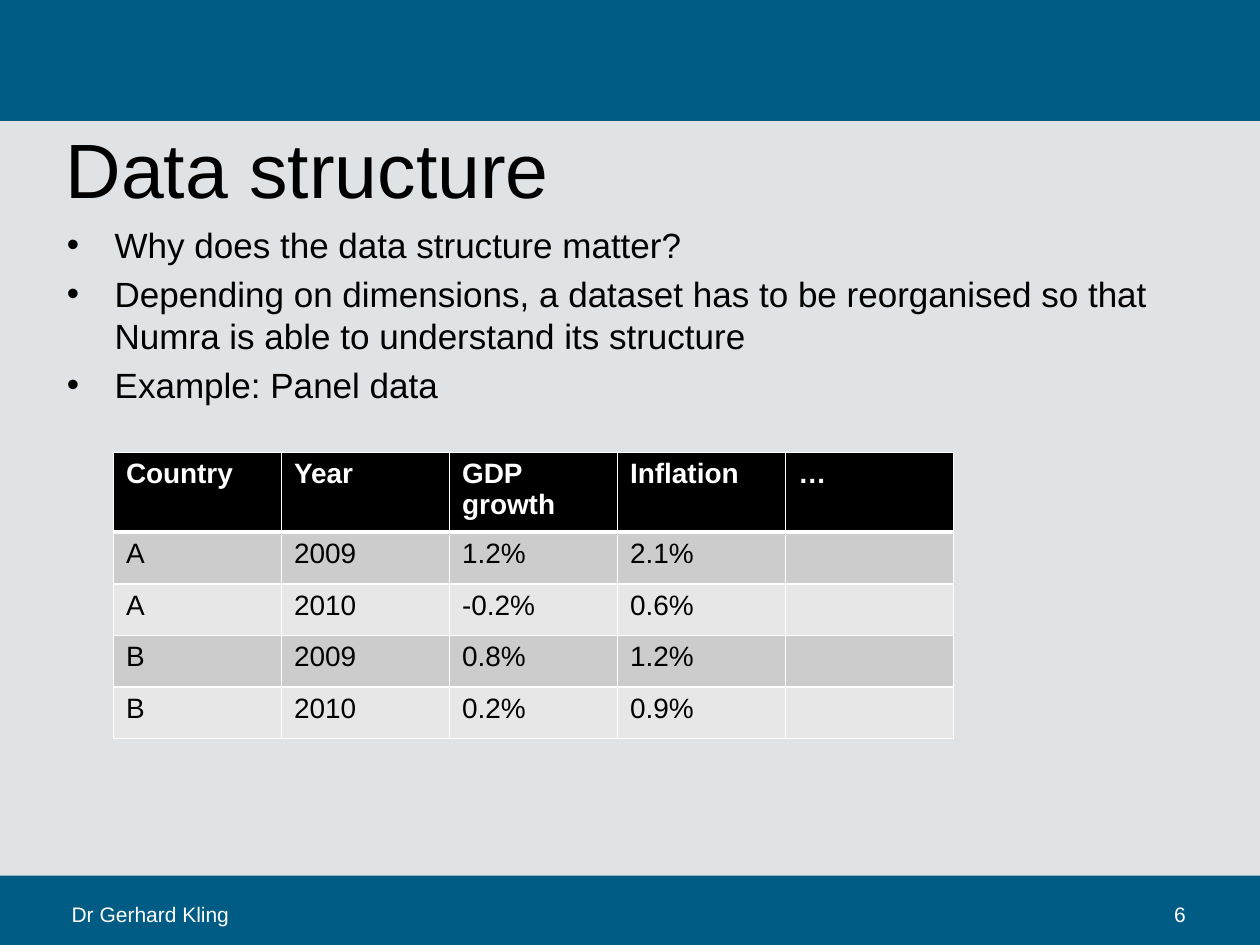
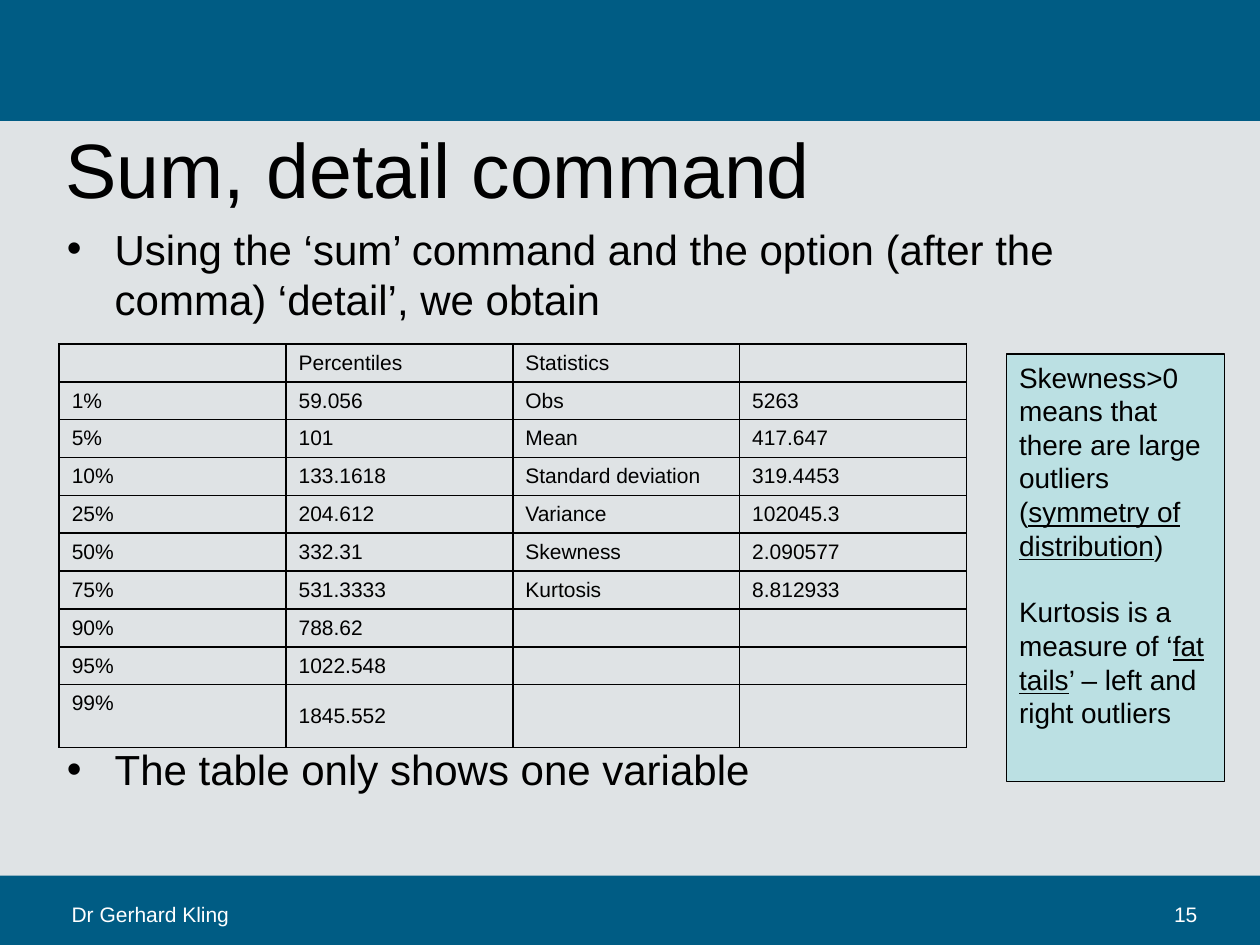
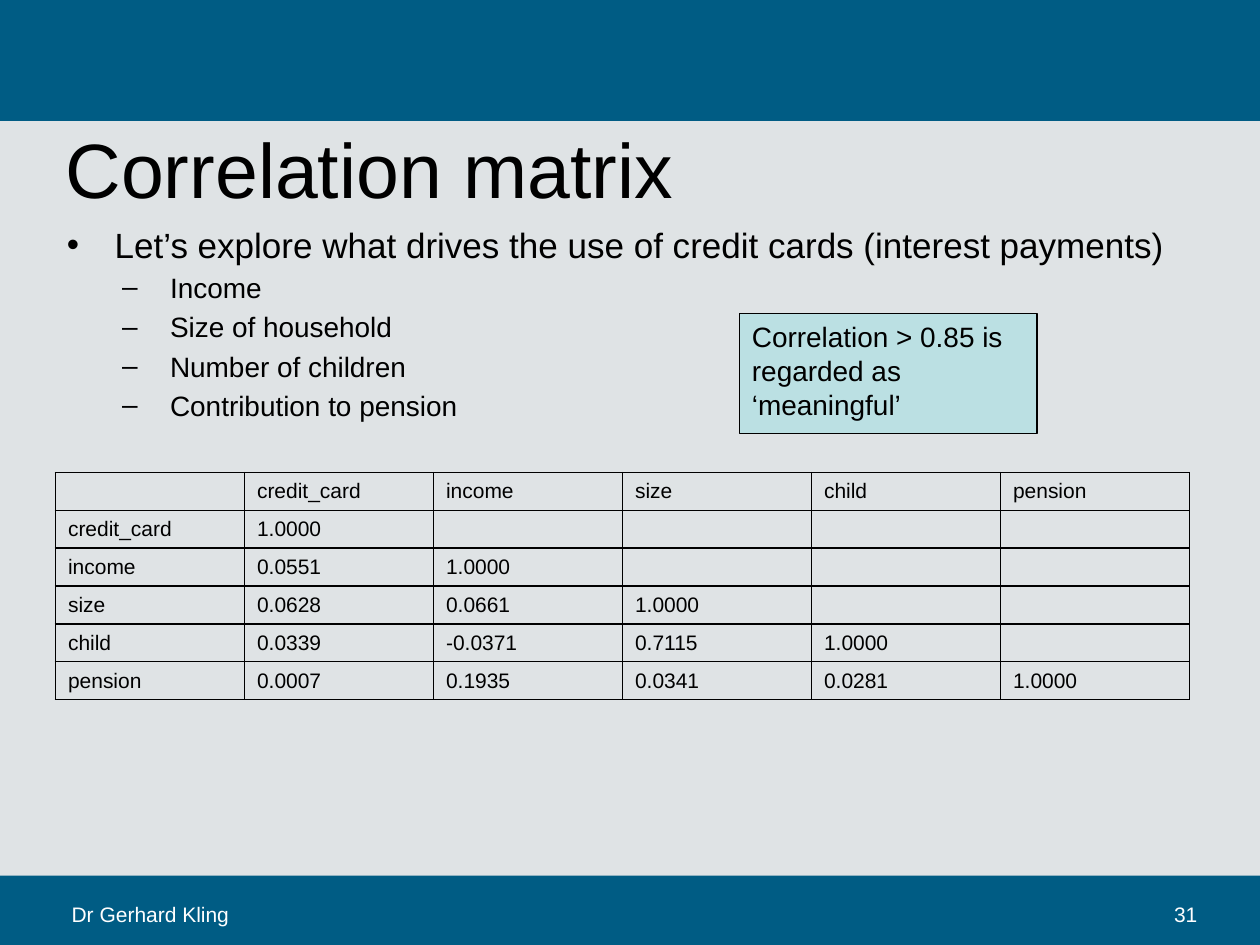
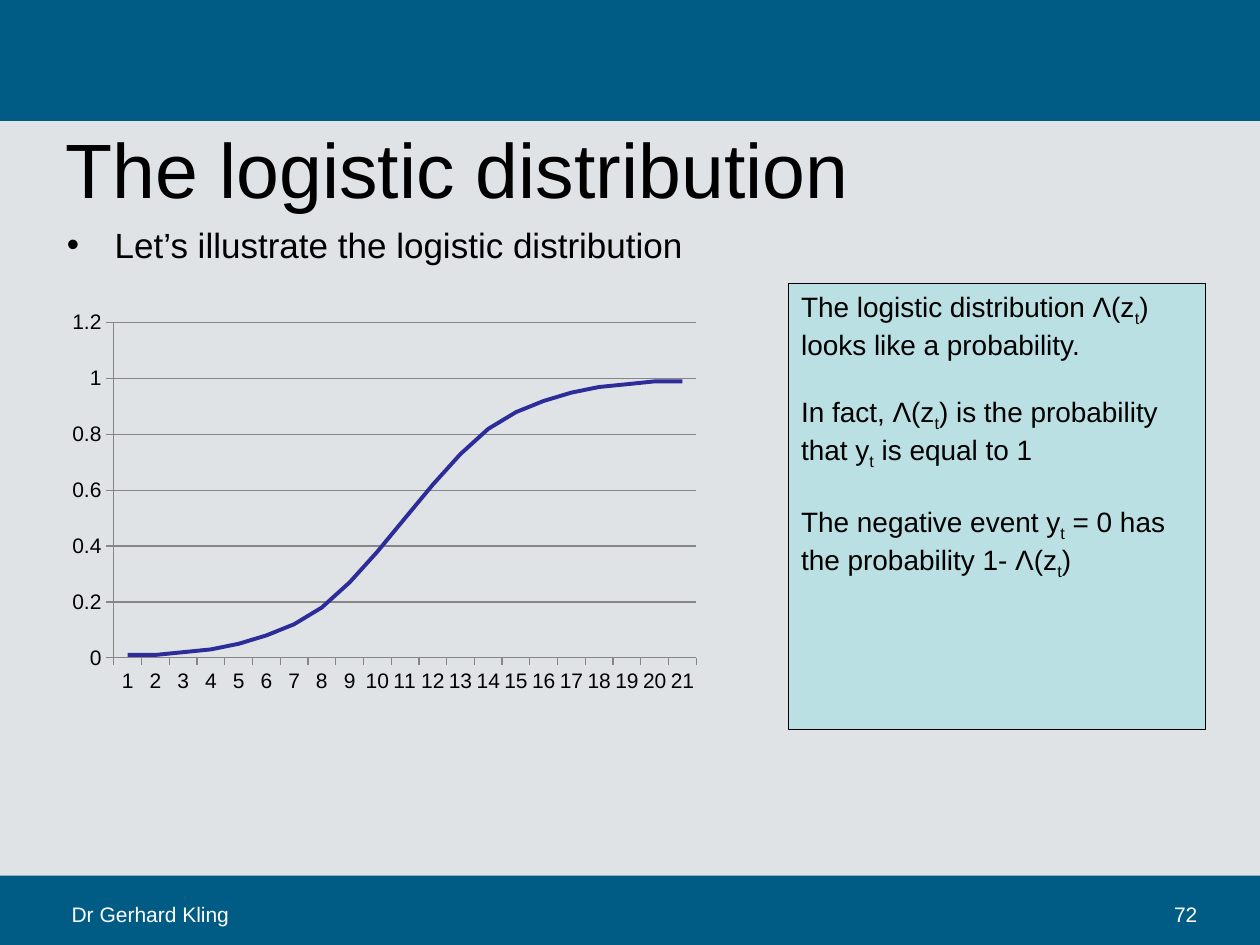
"""Builds four lecture slides on data analysis with shared bands, titles and footers."""
from dataclasses import dataclass
from typing import NamedTuple

from lxml.etree import SubElement
from pptx import Presentation
from pptx.chart.data import CategoryChartData
from pptx.dml.color import RGBColor
from pptx.enum.chart import XL_CHART_TYPE as ChartType, XL_MARKER_STYLE as Marker, XL_TICK_MARK as Tick
from pptx.enum.shapes import MSO_SHAPE as Shape
from pptx.enum.text import MSO_ANCHOR as Anchor, MSO_AUTO_SIZE as AutoSize, PP_ALIGN as Align
from pptx.oxml.ns import qn
from pptx.util import Inches, Pt

FONT = "Arial"
BLACK, WHITE = "000000", "FFFFFF"
BACKGROUND, BAND, NOTE_FILL = "DFE3E5", "005C84", "BBE0E3"
CURVE, GRID = "2D2D99", "868686"
STRIPES = ("CCCCCC", "E7E7E7")
AUTHOR = "Dr Gerhard Kling"


class Box(NamedTuple):
    left: float
    top: float
    width: float
    height: float

    def emu(self) -> tuple:
        return tuple(Inches(v) for v in self)


class Run(NamedTuple):
    text: str
    underline: bool = False
    subscript: bool = False


class Bullet(NamedTuple):
    text: str
    size: int = 20
    level: int = 0
    before: int | None = None


@dataclass
class Note:
    box: Box
    paragraphs: list[list[Run]]
    gap: int = 19


@dataclass
class Grid:
    box: Box
    rows: list[list[str]]
    heights: list[float]
    size: int = 12
    line: str = BLACK
    striped: bool = False
    anchor: Anchor = Anchor.MIDDLE
    top_texts: tuple[str, ...] = ()


BANDS = (Box(0, 0, 10, 0.96), Box(0, 6.95, 10, 0.55))
TITLE_BOX = Box(0.49, 1.02, 9, 0.62)
BODY_BOX = Box(0.5, 1.75, 9, 4.95)
AUTHOR_BOX = Box(0.47, 7.11, 3.28, 0.3)
NUMBER_BOX = Box(9.22, 7.11, 0.7, 0.3)
CHART_BOX = Box(0.47, 2.41, 5.16, 3.15)

PANEL = Grid(
    Box(0.9, 3.59, 6.67, 2.26),
    [
        ["Country", "Year", "GDP growth", "Inflation", "…"],
        ["A", "2009", "1.2%", "2.1%", ""],
        ["A", "2010", "-0.2%", "0.6%", ""],
        ["B", "2009", "0.8%", "1.2%", ""],
        ["B", "2010", "0.2%", "0.9%", ""],
    ],
    [0.63] + [0.41] * 4, size=16, line=WHITE, striped=True, anchor=Anchor.TOP,
)
SUMMARY = Grid(
    Box(0.47, 2.73, 7.2, 3.2),
    [
        ["", "Percentiles", "Statistics", ""],
        ["1%", "59.056", "Obs", "5263"],
        ["5%", "101", "Mean", "417.647"],
        ["10%", "133.1618", "Standard deviation", "319.4453"],
        ["25%", "204.612", "Variance", "102045.3"],
        ["50%", "332.31", "Skewness", "2.090577"],
        ["75%", "531.3333", "Kurtosis", "8.812933"],
        ["90%", "788.62", "", ""],
        ["95%", "1022.548", "", ""],
        ["99%", "1845.552", "", ""],
    ],
    [0.3] * 9 + [0.5], top_texts=("Mean", "417.647", "99%"),
)
CORRELATION = Grid(
    Box(0.44, 3.75, 9, 1.8),
    [
        ["", "credit_card", "income", "size", "child", "pension"],
        ["credit_card", "1.0000", "", "", "", ""],
        ["income", "0.0551", "1.0000", "", "", ""],
        ["size", "0.0628", "0.0661", "1.0000", "", ""],
        ["child", "0.0339", "-0.0371", "0.7115", "1.0000", ""],
        ["pension", "0.0007", "0.1935", "0.0341", "0.0281", "1.0000"],
    ],
    [0.3] * 6,
)

SUB_T = Run("t", subscript=True)
SHAPE_NOTE = Note(Box(7.99, 2.81, 1.73, 3.39), [
    [Run("Skewness>0 means that there are large outliers ("),
     Run("symmetry of distribution", underline=True), Run(")")],
    [Run("Kurtosis is a measure of ‘"), Run("fat tails", underline=True),
     Run("’ – left and right outliers")],
])
THRESHOLD_NOTE = Note(Box(5.87, 2.49, 2.36, 0.95),
                      [[Run("Correlation > 0.85 is regarded as ‘meaningful’")]])
PROBABILITY_NOTE = Note(Box(6.26, 2.25, 3.31, 3.54), [
    [Run("The logistic distribution Λ(z"), SUB_T, Run(") looks like a probability.")],
    [Run("In fact, Λ(z"), SUB_T, Run(") is the probability that y"), SUB_T, Run(" is equal to 1")],
    [Run("The negative event y"), SUB_T, Run(" = 0 has the probability 1- Λ(z"), SUB_T, Run(")")],
])
LOGISTIC = (0.01, 0.01, 0.02, 0.03, 0.05, 0.08, 0.12, 0.18, 0.27, 0.38, 0.5,
            0.62, 0.73, 0.82, 0.88, 0.92, 0.95, 0.97, 0.98, 0.99, 0.99)


def rgb(color: str) -> RGBColor:
    return RGBColor.from_string(color)


def set_font(font, size: int, color: str = BLACK, bold: bool = False) -> None:
    font.name, font.size, font.bold = FONT, Pt(size), bold
    font.color.rgb = rgb(color)


def add_rect(slide, box: Box, fill: str):
    sp = slide.shapes.add_shape(Shape.RECTANGLE, *box.emu())
    sp.shadow.inherit = False
    sp.fill.solid()
    sp.fill.fore_color.rgb = rgb(fill)
    sp.line.fill.background()
    return sp


def dress_master(prs, slide) -> None:
    master = prs.slide_master
    master.background.fill.solid()
    master.background.fill.fore_color.rgb = rgb(BACKGROUND)
    for i, box in enumerate(BANDS):
        band = add_rect(slide, box, BAND)
        band.element.nvSpPr.cNvPr.id = 100 + i
        master.shapes.element.insert(2 + i, band.element)


def place(sp, box: Box, anchor: Anchor):
    sp.left, sp.top, sp.width, sp.height = box.emu()
    tf = sp.text_frame
    tf.auto_size, tf.word_wrap, tf.vertical_anchor = AutoSize.NONE, True, anchor
    tf.margin_left = tf.margin_right = Inches(0.03)
    tf.margin_top = tf.margin_bottom = Inches(0.02)
    return tf


def add_footer(slide, box: Box, text: str) -> None:
    tf = slide.shapes.add_textbox(*box.emu()).text_frame
    tf.word_wrap = True
    tf.text = text
    set_font(tf.paragraphs[0].font, 12, WHITE)


def fill_body(sp, bullets: list[Bullet]) -> None:
    tf = place(sp, BODY_BOX, Anchor.TOP)
    for i, item in enumerate(bullets):
        p = tf.add_paragraph() if i else tf.paragraphs[0]
        p.text, p.level = item.text, item.level
        set_font(p.font, item.size)
        if item.before:
            p.space_before = Pt(item.before)
        pPr = p._p.get_or_add_pPr()
        pPr.set("marL", str(Inches(0.82 if item.level else 0.38)))
        pPr.set("indent", str(Inches(-0.38)))


def add_slide(prs, number: int, title: str, bullets: list[Bullet]):
    slide = prs.slides.add_slide(prs.slide_layouts[1])
    tf = place(slide.shapes.title, TITLE_BOX, Anchor.MIDDLE)
    tf.text = title
    tf.paragraphs[0].alignment = Align.LEFT
    set_font(tf.paragraphs[0].font, 44)
    fill_body(slide.placeholders[1], bullets)
    add_footer(slide, AUTHOR_BOX, AUTHOR)
    add_footer(slide, NUMBER_BOX, str(number))
    return slide


def set_borders(cell, color: str, top: int = 1, bottom: int = 1) -> None:
    tcPr = cell._tc.get_or_add_tcPr()
    for side, width in (("L", 1), ("R", 1), ("T", top), ("B", bottom)):
        ln = SubElement(tcPr, qn(f"a:ln{side}"), w=str(Pt(width)))
        SubElement(SubElement(ln, qn("a:solidFill")), qn("a:srgbClr"), val=color)


def add_grid(slide, grid: Grid) -> None:
    n_cols = len(grid.rows[0])
    table = slide.shapes.add_table(len(grid.rows), n_cols, *grid.box.emu()).table
    table.first_row = table.horz_banding = False
    for col in table.columns:
        col.width = Inches(grid.box.width / n_cols)
    for i, (texts, height) in enumerate(zip(grid.rows, grid.heights)):
        table.rows[i].height = Inches(height)
        header = grid.striped and i == 0
        for j, text in enumerate(texts):
            cell = table.cell(i, j)
            cell.text = text
            cell.vertical_anchor = Anchor.TOP if text in grid.top_texts else grid.anchor
            set_font(cell.text_frame.paragraphs[0].font, grid.size, WHITE if header else BLACK, header)
            set_borders(cell, grid.line, top=3 if grid.striped and i == 1 else 1,
                        bottom=3 if header else 1)
            if grid.striped:
                cell.fill.solid()
                cell.fill.fore_color.rgb = rgb(BLACK if header else STRIPES[(i - 1) % 2])
            else:
                cell.fill.background()


def add_note(slide, note: Note) -> None:
    sp = add_rect(slide, note.box, NOTE_FILL)
    sp.line.color.rgb, sp.line.width = rgb(BLACK), Pt(0.75)
    tf = sp.text_frame
    tf.word_wrap, tf.vertical_anchor = True, Anchor.TOP
    for i, runs in enumerate(note.paragraphs):
        p = tf.add_paragraph() if i else tf.paragraphs[0]
        p.alignment = Align.LEFT
        p.space_before = Pt(note.gap if i else 0)
        set_font(p.font, 16)
        for run in runs:
            r = p.add_run()
            r.text = run.text
            if run.underline:
                r.font.underline = True
            if run.subscript:
                r._r.get_or_add_rPr().set("baseline", "-25000")


def add_curve(slide) -> None:
    data = CategoryChartData()
    data.categories = [str(n) for n in range(1, len(LOGISTIC) + 1)]
    data.add_series("Series 1", LOGISTIC)
    chart = slide.shapes.add_chart(ChartType.LINE, *CHART_BOX.emu(), data).chart
    chart.has_title = chart.has_legend = False
    set_font(chart.font, 12)
    series = chart.plots[0].series[0]
    series.smooth = False
    series.marker.style = Marker.NONE
    series.format.line.color.rgb, series.format.line.width = rgb(CURVE), Pt(2.25)
    chart.plots[0].vary_by_categories = False
    value = chart.value_axis
    value.minimum_scale, value.maximum_scale, value.major_unit = 0, 1.2, 0.2
    value.has_major_gridlines = True
    value.tick_labels.number_format = "General"
    value.tick_labels.number_format_is_linked = False
    for axis in (value, chart.category_axis):
        axis.major_tick_mark, axis.minor_tick_mark = Tick.OUTSIDE, Tick.NONE
        axis.format.line.color.rgb = rgb(GRID)
    value.major_gridlines.format.line.color.rgb = rgb(GRID)


def main() -> None:
    prs = Presentation()
    prs.slide_width, prs.slide_height = Inches(10), Inches(7.5)

    slide = add_slide(prs, 6, "Data structure", [
        Bullet("Why does the data structure matter?"),
        Bullet("Depending on dimensions, a dataset has to be reorganised so that "
               "Numra is able to understand its structure"),
        Bullet("Example: Panel data"),
    ])
    dress_master(prs, slide)
    add_grid(slide, PANEL)

    slide = add_slide(prs, 15, "Sum, detail command", [
        Bullet("Using the ‘sum’ command and the option (after the comma) ‘detail’, we obtain", 24),
        Bullet("The table only shows one variable", 24, before=240),
    ])
    add_grid(slide, SUMMARY)
    add_note(slide, SHAPE_NOTE)

    causes = ("Income", "Size of household", "Number of children", "Contribution to pension")
    slide = add_slide(prs, 31, "Correlation matrix", [
        Bullet("Let’s explore what drives the use of credit cards (interest payments)"),
        *(Bullet(cause, 16, level=1) for cause in causes),
    ])
    add_grid(slide, CORRELATION)
    add_note(slide, THRESHOLD_NOTE)

    slide = add_slide(prs, 72, "The logistic distribution",
                      [Bullet("Let’s illustrate the logistic distribution")])
    add_curve(slide)
    add_note(slide, PROBABILITY_NOTE)

    prs.save("out.pptx")


if __name__ == "__main__":
    main()
